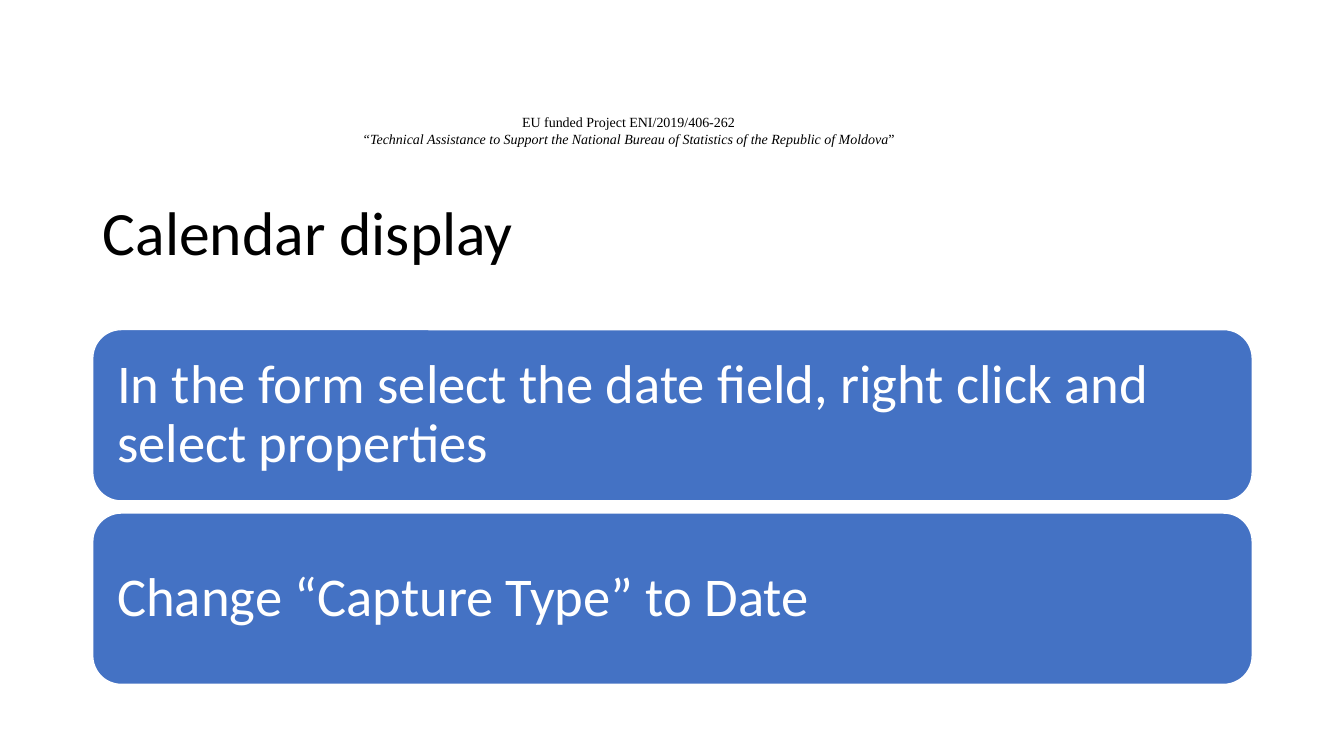
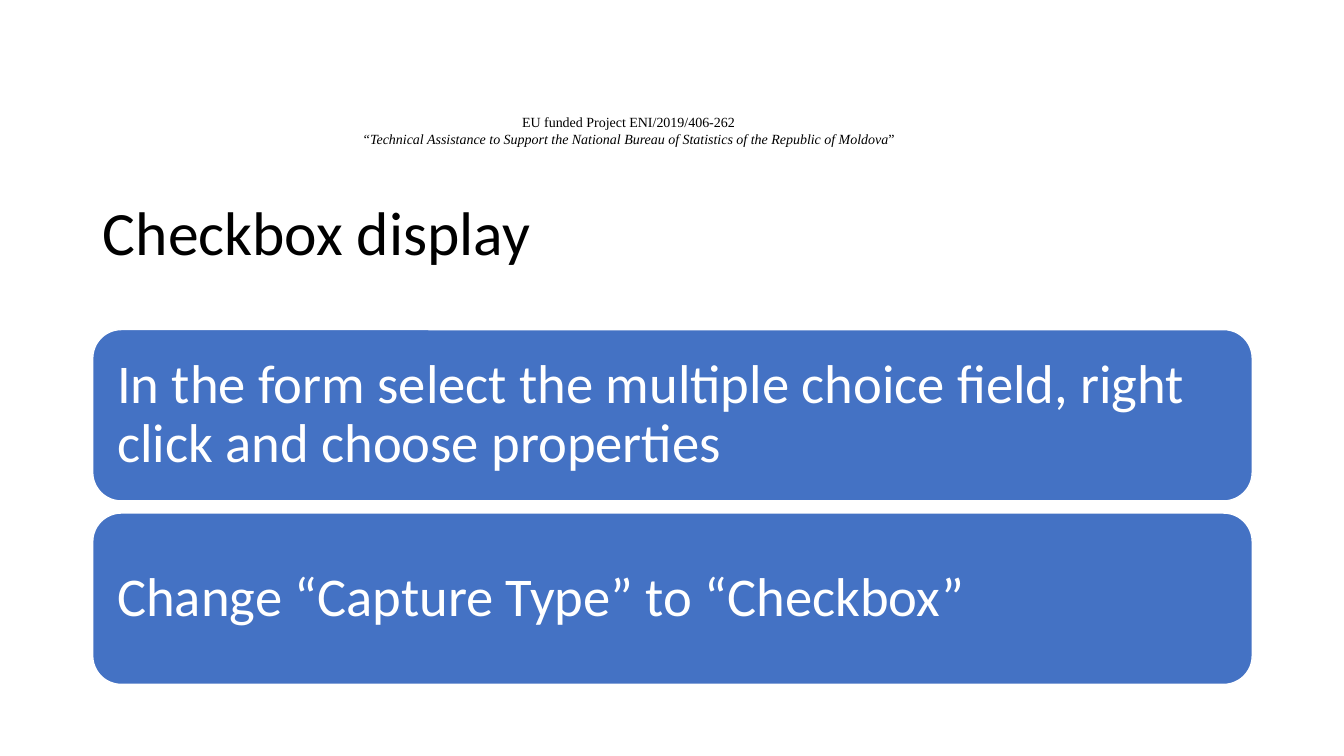
from dataclasses import dataclass

from pptx import Presentation
from pptx.dml.color import RGBColor
from pptx.enum.shapes import MSO_SHAPE
from pptx.enum.text import MSO_ANCHOR, PP_ALIGN
from pptx.util import Inches, Pt

ROUNDED = MSO_SHAPE.ROUNDED_RECTANGLE
LEFT, CENTER = PP_ALIGN.LEFT, PP_ALIGN.CENTER
MIDDLE = MSO_ANCHOR.MIDDLE


@dataclass(frozen=True)
class Theme:
    font: str = "Calibri"
    header_font: str = "Times New Roman"
    ink: RGBColor = RGBColor(0x00, 0x00, 0x00)
    paper: RGBColor = RGBColor(0xFF, 0xFF, 0xFF)
    blue: RGBColor = RGBColor(0x44, 0x72, 0xC4)
    header_size: int = 10
    title_size: int = 44
    step_size: int = 39
    spacing: float = 0.9


T = Theme()

HEADER = [
    [("EU funded Project ENI/2019/406-262", False)],
    [("“Technical Assistance to Support the National Bureau of Statistics "
      "of the Republic of Moldova", True), ("”", False)],
]
SLIDES = [
    ("Calendar display", [
        "In the form select the date field, right click and select properties",
        "Change “Capture Type” to Date",
    ]),
    ("Checkbox display", [
        "In the form select the multiple choice field, right click and choose properties",
        "Change “Capture Type” to “Checkbox”",
    ]),
]

prs = Presentation()
prs.slide_width, prs.slide_height = Inches(13.33), Inches(7.5)
W = prs.slide_width
layout = prs.slide_layouts[5]

# Grid: one full-width column, steps in equal rows
COL_X, COL_W = Inches(0.92), Inches(11.5)
STEP_Y, STEP_H, STEP_GAP = Inches(3.27), Inches(1.7), Inches(0.12)
INSET = Inches(0.16)


def place(shape, x, y, w, h):
    shape.left, shape.top, shape.width, shape.height = x, y, w, h


def style(r, font, size, color, italic=False):
    r.font.name, r.font.size, r.font.italic = font, Pt(size), italic
    r.font.color.rgb = color


for number, (title, steps) in enumerate(SLIDES):
    s = prs.slides.add_slide(layout)

    # Project header, kept once on the shared layout
    if number == 0:
        box = s.shapes.add_textbox(Inches(2.9), Inches(1.08), W // 2, Inches(0.44))
        tf = box.text_frame
        tf.word_wrap = True
        for i, line in enumerate(HEADER):
            p = tf.add_paragraph() if i else tf.paragraphs[0]
            p.alignment = CENTER
            for text, italic in line:
                r = p.add_run()
                r.text = text
                style(r, T.header_font, T.header_size, T.ink, italic)
        layout.shapes.element.append(box.element)

    # Title
    place(s.shapes.title, COL_X, Inches(1.61), COL_W, Inches(1.45))
    tf = s.shapes.title.text_frame
    tf.text = title
    tf.vertical_anchor = MIDDLE
    p = tf.paragraphs[0]
    p.alignment, p.line_spacing = LEFT, T.spacing
    style(p.runs[0], T.font, T.title_size, T.ink)

    # Steps
    for row, step in enumerate(steps):
        y = STEP_Y + row * (STEP_H + STEP_GAP)
        sp = s.shapes.add_shape(ROUNDED, COL_X, y, COL_W, STEP_H)
        sp.shadow.inherit = False
        sp.fill.solid()
        sp.fill.fore_color.rgb = T.blue
        sp.line.color.rgb = T.paper
        sp.line.width = Pt(1)
        tf = sp.text_frame
        tf.text = step
        tf.word_wrap = True
        tf.vertical_anchor = MIDDLE
        tf.margin_left = tf.margin_right = tf.margin_top = tf.margin_bottom = INSET
        p = tf.paragraphs[0]
        p.alignment, p.line_spacing = LEFT, T.spacing
        style(p.runs[0], T.font, T.step_size, T.paper)

prs.save("out.pptx")
